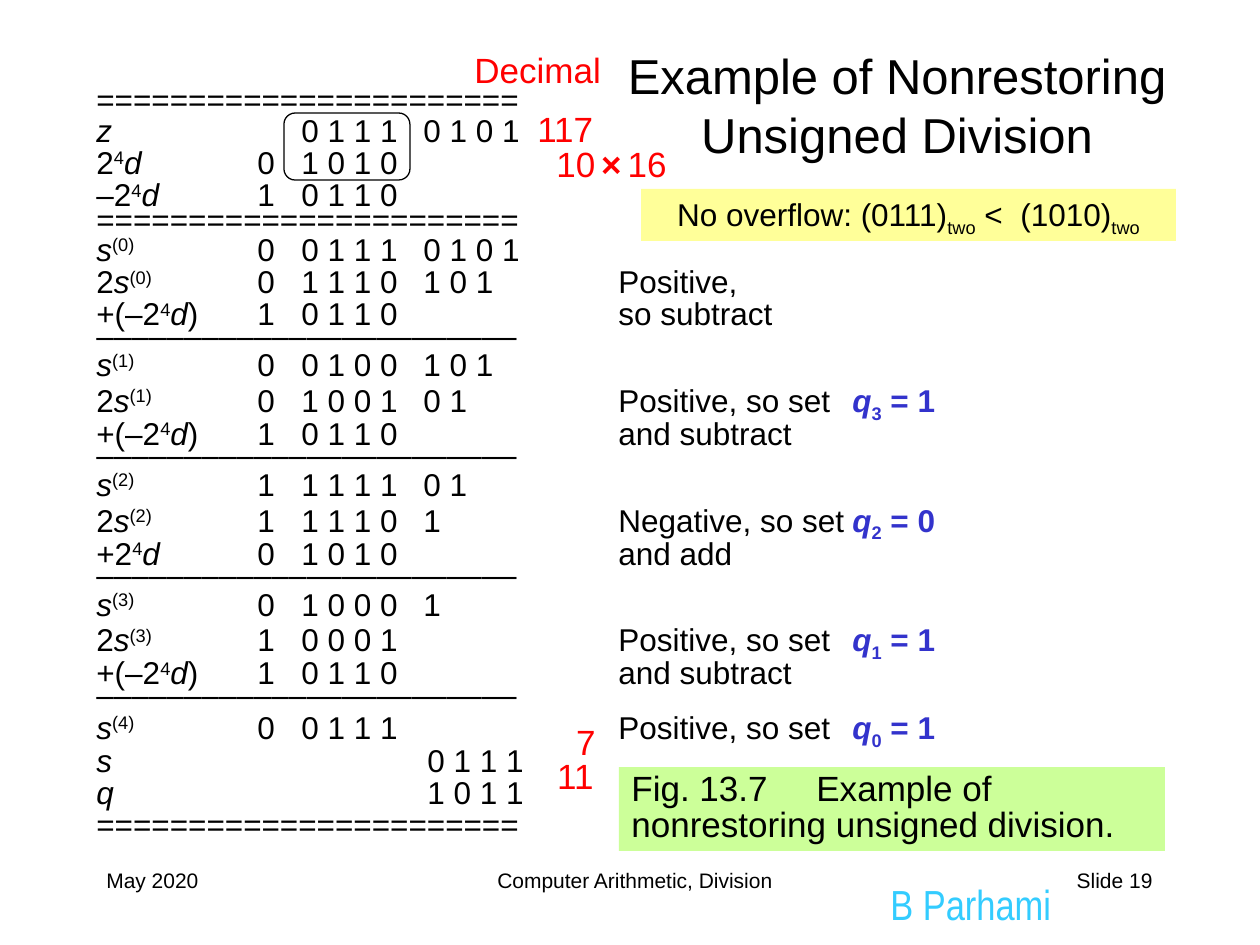
"""Build the slide showing an example of nonrestoring unsigned division."""
from typing import NamedTuple, Optional

from lxml import etree
from pptx import Presentation
from pptx import util as u
from pptx.dml.color import RGBColor
from pptx.enum import shapes, text
from pptx.oxml.ns import qn

PX = 914400 / 126
LEFT, CENTER, RIGHT = text.PP_ALIGN.LEFT, text.PP_ALIGN.CENTER, text.PP_ALIGN.RIGHT
TOP, MIDDLE = text.MSO_ANCHOR.TOP, text.MSO_ANCHOR.MIDDLE
BLACK, RED, BLUE, CYAN = "000000", "FF0000", "3333CC", "33CCFF"
COLUMN_TABS = (161, 205, 327, 522, 756)
RESULT_TABS = (161, 205, 331)


class Run(NamedTuple):
    text: str
    italic: bool = False
    base: int = 0
    bold: bool = False
    color: Optional[str] = None
    size: Optional[int] = None


class Para(NamedTuple):
    runs: tuple[Run, ...]
    spacing: Optional[float] = None
    tabs: tuple[int, ...] = ()


class Box(NamedTuple):
    left: int
    top: int
    width: int
    height: int
    paras: tuple[Para, ...]
    size: int
    color: str = BLACK
    align: int = LEFT
    anchor: int = TOP
    fill: Optional[str] = None
    font: str = "Arial"


def px(n: int) -> int:
    return round(n * PX)


def rgb(value: str) -> RGBColor:
    return RGBColor.from_string(value)


def plain(words: str, spacing: Optional[float] = None, tabs: tuple[int, ...] = ()) -> tuple[Para, ...]:
    return (Para((Run(words),), spacing, tabs),)


def set_tabs(p, stops: tuple[int, ...]) -> None:
    tab_list = etree.SubElement(p._p.get_or_add_pPr(), qn("a:tabLst"))
    for stop in stops:
        etree.SubElement(tab_list, qn("a:tab"), pos=str(px(stop)), algn="l")


def add_para(p, para: Para, box: Box) -> None:
    if para.tabs:
        set_tabs(p, para.tabs)
    p.alignment = box.align
    if para.spacing:
        p.line_spacing = para.spacing
    for run in para.runs:
        r = p.add_run()
        r.text = run.text
        r.font.name = box.font
        r.font.size = u.Pt(run.size or box.size)
        r.font.italic, r.font.bold = run.italic, run.bold
        r.font.color.rgb = rgb(run.color or box.color)
        if run.base:
            r.font._element.set("baseline", str(run.base * 1000))


def add_box(s, box: Box) -> None:
    frame = (px(box.left), px(box.top), px(box.width), px(box.height))
    if box.fill:
        sp = s.shapes.add_shape(shapes.MSO_SHAPE.RECTANGLE, *frame)
        sp.shadow.inherit = False
        sp.fill.solid()
        sp.fill.fore_color.rgb = rgb(box.fill)
        sp.line.fill.background()
    else:
        sp = s.shapes.add_textbox(*frame)
    tf = sp.text_frame
    tf.word_wrap = True
    tf.vertical_anchor = box.anchor
    for i, para in enumerate(box.paras):
        add_para(tf.paragraphs[0] if i == 0 else tf.add_paragraph(), para, box)


def row(label: tuple[Run, ...], *cells: str, quotient: tuple[Run, ...] = (),
        tabs: tuple[int, ...] = COLUMN_TABS) -> Para:
    body = "".join("\t" + cell for cell in cells)
    return Para((*label, Run(body), *quotient), 0.85, tabs)


def rule(mark: str, count: int, spacing: float) -> Para:
    return Para((Run(mark * count),), spacing)


def multiple(prefix: str, suffix: str = "") -> tuple[Run, ...]:
    runs = (Run(prefix + "2"), Run("4", base=30), Run("d", italic=True))
    return runs + ((Run(suffix),) if suffix else ())


def remainder(step: int) -> tuple[Run, ...]:
    return Run("s", italic=True), Run(f"({step})", base=30)


def digit(index: int, value: int) -> tuple[Run, ...]:
    return (Run("\tq", True, 0, True, BLUE), Run(str(index), False, -25, True, BLUE),
            Run(f" = {value}", False, 0, True, BLUE))


def cycle(step: int, now: tuple[str, ...], doubled: tuple[str, ...], verdict: str,
          action: str, quotient: tuple[Run, ...] = ()) -> tuple[Para, ...]:
    adding = action.endswith("add")
    label = multiple("+") if adding else multiple("+(–", ")")
    addend = ("0", "1 0 1 0") if adding else ("1", "0 1 1 0")
    return (row(remainder(step), *now),
            row((Run("2"), *remainder(step)), *doubled, verdict, quotient=quotient),
            row(label, *addend, "", action),
            rule("–", 24, 0.5))


WORKING = (
    rule("=", 23, 0.7),
    row((Run("z", True),), "", "0 1 1 1", "0 1 0 1"),
    row(multiple(""), "0", "1 0 1 0"),
    row(multiple("–"), "1", "0 1 1 0"),
    rule("=", 23, 0.6),
    *cycle(0, ("0", "0 1 1 1", "0 1 0 1"), ("0", "1 1 1 0", "1 0 1"), "Positive,", "so subtract"),
    *cycle(1, ("0", "0 1 0 0", "1 0 1"), ("0", "1 0 0 1", "0 1"),
           "Positive, so set", "and subtract", digit(3, 1)),
    *cycle(2, ("1", "1 1 1 1", "0 1"), ("1", "1 1 1 0", "1"),
           "Negative, so set", "and add", digit(2, 0)),
    *cycle(3, ("0", "1 0 0 0", "1"), ("1", "0 0 0 1", ""),
           "Positive, so set", "and subtract", digit(1, 1)),
    row(remainder(4), "0", "0 1 1 1", "", "Positive, so set", quotient=digit(0, 1)),
    row((Run("s", True),), "", "", "0 1 1 1", tabs=RESULT_TABS),
    row((Run("q", True),), "", "", "1 0 1 1", tabs=RESULT_TABS),
    rule("=", 23, 0.85),
)
OVERFLOW = (Para((Run("No overflow: (0111)"), Run("two", base=-25),
                  Run(" <  (1010)"), Run("two", base=-25)), 0.9),)
DIVISOR = (Para((Run("10"), Run(" ", size=12), Run("×", bold=True),
                 Run(" ", size=12), Run("16"))),)
BOXES = (
    Box(878, 872, 200, 53, plain("B Parhami"), 24, CYAN, font="Arial Narrow"),
    Box(94, 861, 262, 63, plain("May 2020"), 12),
    Box(304, 861, 662, 63, plain("Computer Arithmetic, Division"), 12, align=CENTER),
    Box(903, 861, 262, 63, plain("Slide 19"), 12, align=RIGHT),
    Box(598, 31, 598, 147, plain("Example of Nonrestoring Unsigned Division"), 28,
        align=CENTER, anchor=MIDDLE),
    Box(619, 767, 546, 84, plain("Fig. 13.7\tExample of nonrestoring unsigned division.", 0.85, (185,)),
        20, fill="CCFF99"),
    Box(84, 84, 872, 766, WORKING, 18),
    Box(641, 189, 535, 52, OVERFLOW, 18, align=CENTER, anchor=MIDDLE, fill="FFFF99"),
    Box(544, 136, 170, 55, DIVISOR, 20, RED),
    Box(522, 748, 84, 55, plain("11"), 20, RED, RIGHT),
    Box(524, 714, 84, 55, plain("7"), 20, RED, RIGHT),
    Box(525, 101, 90, 55, plain("117"), 20, RED),
    Box(462, 42, 170, 55, plain("Decimal"), 20, RED),
)


def add_compared_digits_frame(s) -> None:
    sp = s.shapes.add_shape(shapes.MSO_SHAPE.ROUNDED_RECTANGLE, px(284), px(113), px(126), px(67))
    sp.shadow.inherit = False
    sp.fill.background()
    sp.line.color.rgb = rgb(BLACK)
    sp.line.width = u.Pt(0.75)


def main() -> None:
    prs = Presentation()
    prs.slide_width, prs.slide_height = u.Inches(10), u.Inches(7.5)
    s = prs.slides.add_slide(prs.slide_layouts[6])
    for box in BOXES:
        add_box(s, box)
    add_compared_digits_frame(s)
    prs.save("out.pptx")


if __name__ == "__main__":
    main()
